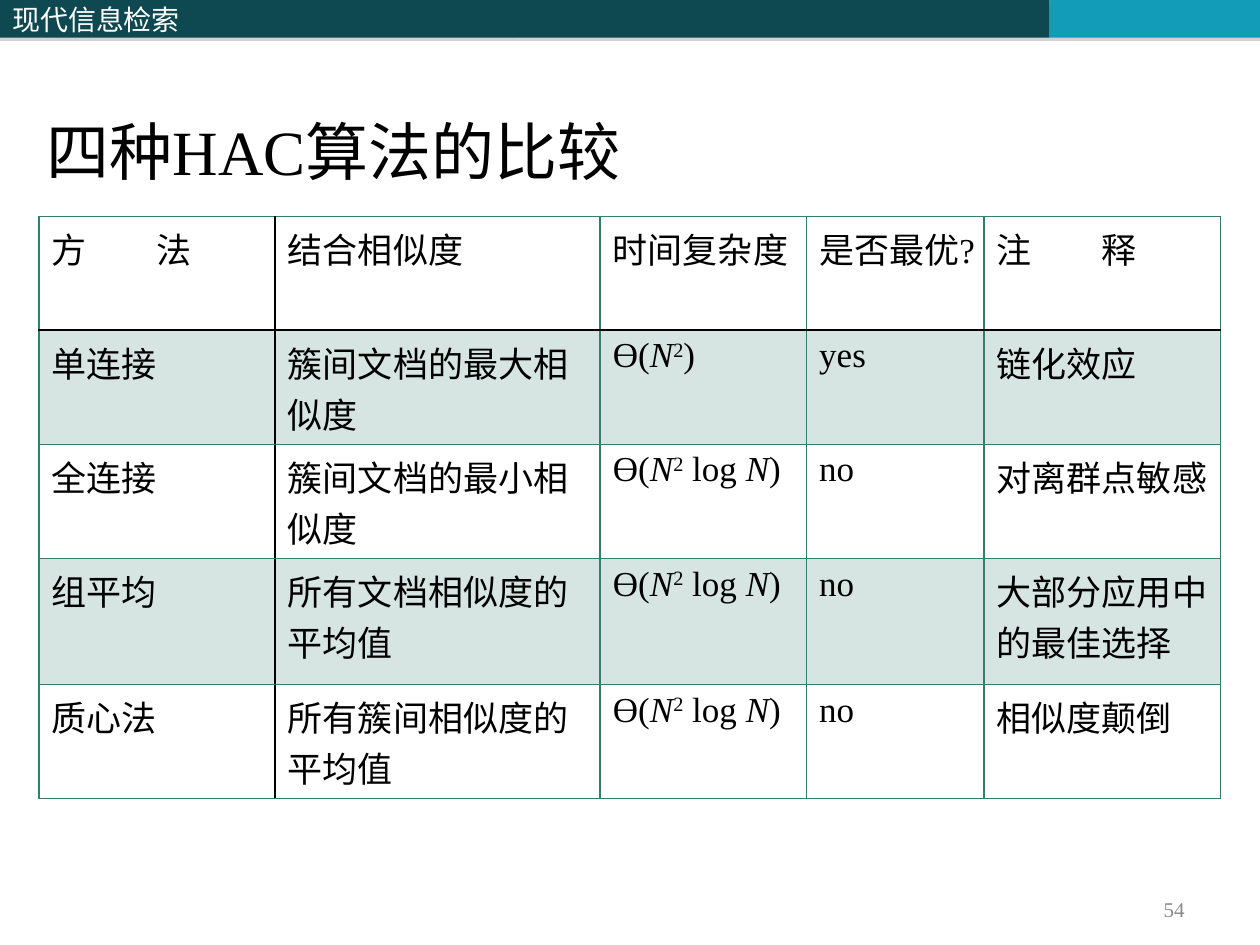
from lxml.etree import SubElement
from pptx import Presentation
from pptx.dml.color import RGBColor
from pptx.enum.shapes import MSO_SHAPE as Preset
from pptx.enum.text import MSO_ANCHOR as Anchor, PP_ALIGN as Align
from pptx.oxml.ns import qn
from pptx.util import Cm, Pt

# Content
COURSE = "现代信息检索"
TITLE = "四种HAC算法的比较"
PAGE = "54"
SQUARE = [("Ɵ(", ""), ("N", "italic"), ("2", "super"), (")", "")]
SQUARE_LOG = SQUARE[:3] + [(" log ", ""), ("N", "italic"), (")", "")]
METHODS = [
    ("方　　法", "结合相似度", "时间复杂度", "是否最优?", "注　　释"),
    ("单连接", "簇间文档的最大相似度", SQUARE, "yes", "链化效应"),
    ("全连接", "簇间文档的最小相似度", SQUARE_LOG, "no", "对离群点敏感"),
    ("组平均", "所有文档相似度的平均值", SQUARE_LOG, "no", "大部分应用中的最佳选择"),
    ("质心法", "所有簇间相似度的平均值", SQUARE_LOG, "no", "相似度颠倒"),
]

# Layout in centimetres
COLUMN_WIDTHS = [4.76, 6.55, 4.16, 3.58, 4.76]
ROW_HEIGHTS = [2.3, 2.3, 2.3, 2.54, 2.3]
TABLE_LEFT, TABLE_TOP = 0.79, 4.36
BAND_HEIGHT = 0.76

# Look
DARK_TEAL = RGBColor(0x0E, 0x48, 0x51)
BRIGHT_BLUE = RGBColor(0x13, 0x9C, 0xB7)
GREEN = RGBColor(0x35, 0x7E, 0x69)
BLACK = RGBColor(0, 0, 0)
WHITE = RGBColor(255, 255, 255)
GREY = RGBColor(0x89, 0x89, 0x89)
SHADOW_GREY = RGBColor(0x80, 0x80, 0x80)
SERIF, CJK = "Times New Roman", "Noto Sans CJK SC"
BANDS = [(10.36, DARK_TEAL), (10.8, DARK_TEAL), (4.24, BRIGHT_BLUE)]


def write(frame, content, size=20, font=SERIF, color=BLACK, align=Align.LEFT, anchor=Anchor.TOP):
    """Fill a text frame with a string or with (text, style) pieces."""
    frame.word_wrap = True
    frame.vertical_anchor = anchor
    paragraph = frame.paragraphs[0]
    paragraph.alignment = align
    pieces = [(content, "")] if isinstance(content, str) else content
    for words, style in pieces:
        run = paragraph.add_run()
        run.text = words
        run.font.size = Pt(size)
        run.font.name = font
        run.font.color.rgb = color
        run.font.italic = style == "italic"
        properties = run.font._element
        SubElement(properties, qn("a:ea"), typeface=CJK)
        if style == "super":
            properties.set("baseline", "30000")
    return paragraph


def add_color(parent, color, alpha=100):
    tint = SubElement(parent, qn("a:srgbClr"), val=str(color))
    SubElement(tint, qn("a:alpha"), val=str(alpha * 1000))


def add_border(cell, side, color, width):
    line = SubElement(cell._tc.get_or_add_tcPr(), qn(f"a:ln{side}"), w=str(Pt(width)))
    add_color(SubElement(line, qn("a:solidFill")), color)


deck = Presentation()
deck.slide_width, deck.slide_height = Cm(25.4), Cm(19.05)
slide = deck.slides.add_slide(deck.slide_layouts[6])
shapes = slide.shapes

# Header bands
left = 0
for index, (width, color) in enumerate(BANDS):
    band = shapes.add_shape(Preset.RECTANGLE, Cm(left), 0, Cm(width), Cm(BAND_HEIGHT))
    band.fill.solid()
    band.fill.fore_color.rgb = color
    band.line.fill.background()
    band.shadow.inherit = False
    effects = band._element.spPr.find(qn("a:effectLst"))
    shadow = SubElement(effects, qn("a:outerShdw"), blurRad="0", dist=str(Pt(1.8)), dir="5400000")
    add_color(shadow, SHADOW_GREY, 35)
    if index == 0:
        write(band.text_frame, COURSE, size=16, font=CJK, color=WHITE, anchor=Anchor.MIDDLE)
    left += width

# Title
title = shapes.add_textbox(Cm(-0.58), Cm(0.03), Cm(25.98), Cm(3.89))
heading = write(title.text_frame, TITLE, size=36, anchor=Anchor.BOTTOM)
heading.space_before = Pt(7)
indents = heading._p.get_or_add_pPr()
indents.set("marL", str(Cm(2.06)))
indents.set("indent", str(Cm(-0.79)))

# Comparison table
table = shapes.add_table(
    len(METHODS), len(COLUMN_WIDTHS), Cm(TABLE_LEFT), Cm(TABLE_TOP),
    Cm(sum(COLUMN_WIDTHS)), Cm(sum(ROW_HEIGHTS))).table
table.first_row = table.horz_banding = False
for column, width in zip(table.columns, COLUMN_WIDTHS):
    column.width = Cm(width)
for row, height in zip(table.rows, ROW_HEIGHTS):
    row.height = Cm(height)

for r, method in enumerate(METHODS):
    for c, content in enumerate(method):
        cell = table.cell(r, c)
        write(cell.text_frame, content)
        # Black rules follow the method column and the heading row
        heavy = {"L": c == 1, "R": c == 0, "T": r == 1, "B": r == 0}
        for side, is_heavy in heavy.items():
            add_border(cell, side, *((BLACK, 1.5) if is_heavy else (GREEN, 1)))
        if r % 2:
            cell.fill.solid()
            cell.fill.fore_color.rgb = GREEN
            tint = cell._tc.tcPr.find(qn("a:solidFill"))[0]
            SubElement(tint, qn("a:alpha"), val="20000")
        else:
            cell.fill.background()

# Page number
page = shapes.add_textbox(Cm(18.2), Cm(17.99), Cm(5.93), Cm(0.69))
write(page.text_frame, PAGE, size=12, color=GREY, align=Align.RIGHT, anchor=Anchor.MIDDLE)

deck.save("out.pptx")
